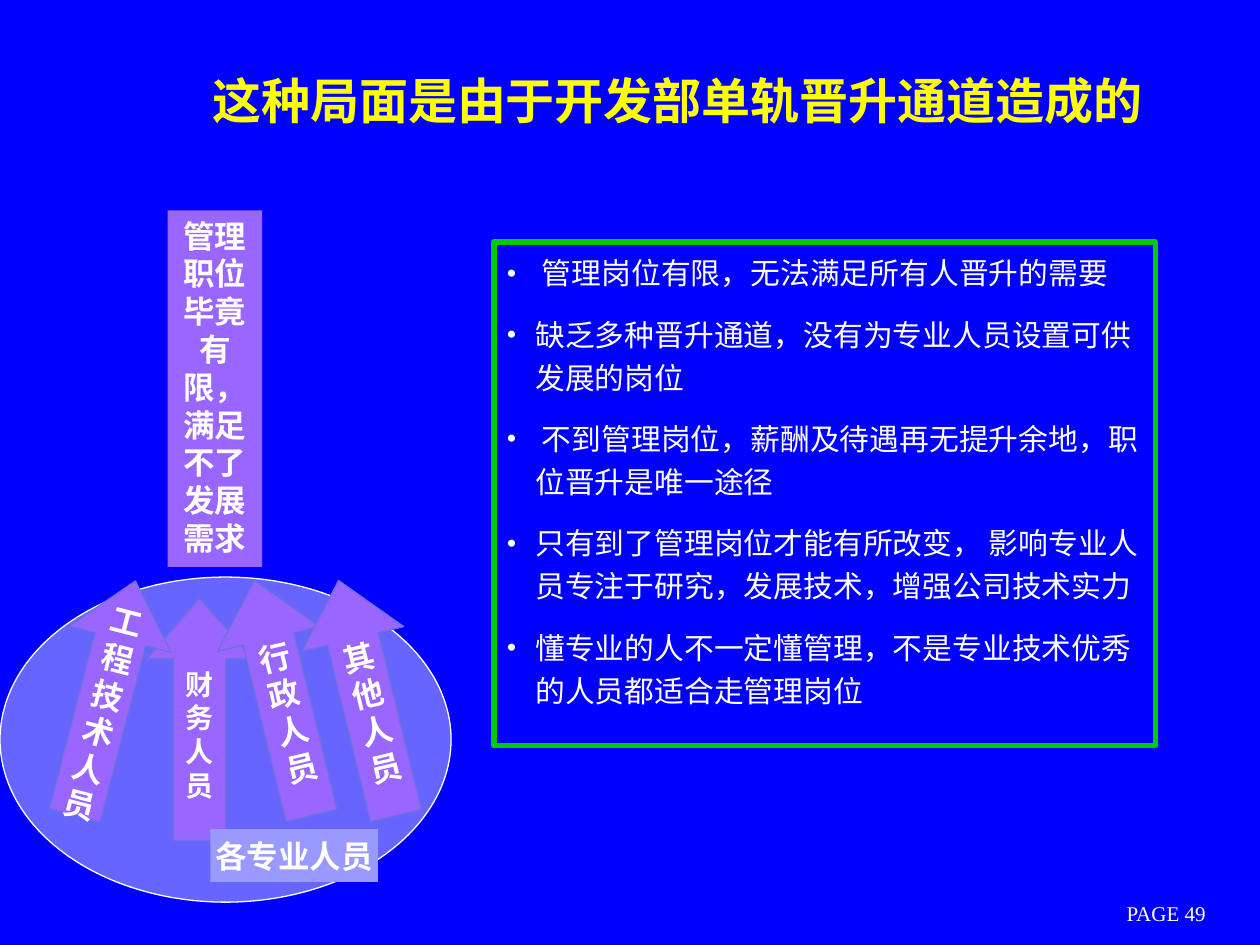
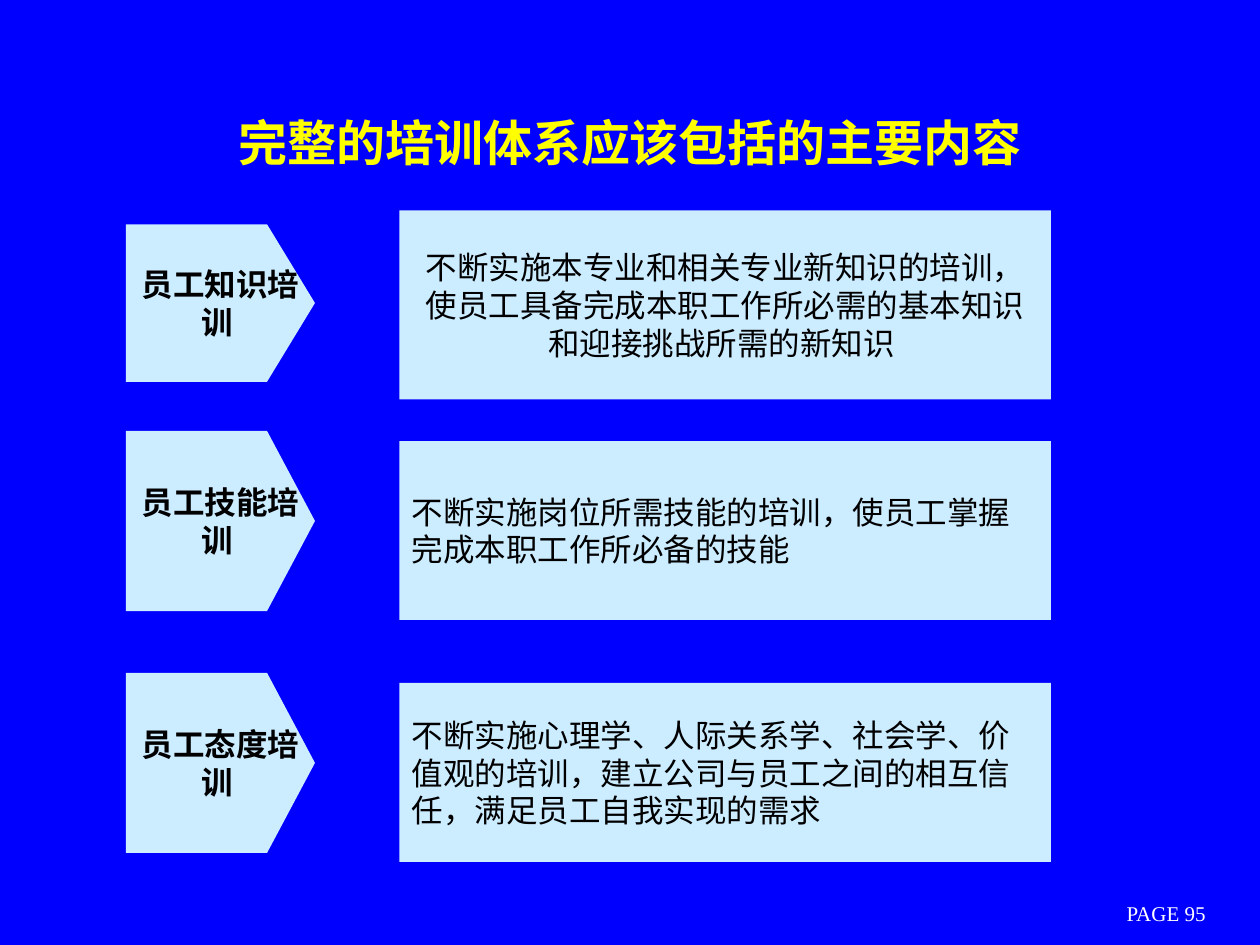
from lxml import etree
from pptx import Presentation
from pptx.dml.color import RGBColor
from pptx.enum import shapes, text
from pptx.oxml import ns
from pptx.util import Inches, Pt

BLUE = RGBColor(0x00, 0x00, 0xFF)
YELLOW = RGBColor(0xFF, 0xFF, 0x00)
WHITE = RGBColor(0xFF, 0xFF, 0xFF)
BLACK = RGBColor(0x00, 0x00, 0x00)
GREEN = RGBColor(0x00, 0xCC, 0x00)
VIOLET = RGBColor(0x99, 0x66, 0xFF)
VIOLET_EDGE = RGBColor(0x71, 0x71, 0xDB)
PERIWINKLE = RGBColor(0x66, 0x66, 0xFF)
LAVENDER = RGBColor(0x99, 0x99, 0xFF)
PALE_BLUE = RGBColor(0xCC, 0xEC, 0xFF)

LATIN = "Times New Roman"
HAN = "Noto Sans CJK SC"
CENTER, LEFT = text.PP_ALIGN.CENTER, text.PP_ALIGN.LEFT
TOP, MIDDLE = text.MSO_ANCHOR.TOP, text.MSO_ANCHOR.MIDDLE
RECT = shapes.MSO_SHAPE.RECTANGLE

PROMOTION = {
    "title": "这种局面是由于开发部单轨晋升通道造成的",
    "title_at": (1.5, 0, 7.75, 1.58),
    "page": 49,
    "ceiling": "管理职位毕竟有限，满足不了发展需求",
    "crowd": "各专业人员",
    "reasons": [
        " 管理岗位有限，无法满足所有人晋升的需要",
        "缺乏多种晋升通道，没有为专业人员设置可供发展的岗位",
        " 不到管理岗位，薪酬及待遇再无提升余地，职位晋升是唯一途径",
        "只有到了管理岗位才能有所改变， 影响专业人员专注于研究，发展技术，增强公司技术实力",
        "懂专业的人不一定懂管理，不是专业技术优秀的人员都适合走管理岗位",
    ],
    "careers": [
        ("财务人员", 1.17, 4.75, 0, 16),
        ("工程技术人员", 0.42, 4.58, 14.5, 18),
        ("行政人员", 1.83, 4.58, 346.3, 18),
        ("其他人员", 2.5, 4.58, 346.3, 18),
    ],
}

TRAINING = {
    "title": "完整的培训体系应该包括的主要内容",
    "title_at": (0.75, 0.5, 8.5, 1.25),
    "page": 95,
    "kinds": [
        ("员工知识培训 ", 1.78, 1.25,
         "不断实施本专业和相关专业新知识的培训，使员工具备完成本职工作所必需的基本知识和迎接挑战所需的新知识 ",
         1.67, 1.5, CENTER),
        ("员工技能培训 ", 3.42, 1.43,
         "不断实施岗位所需技能的培训，使员工掌握完成本职工作所必备的技能",
         3.5, 1.42, LEFT),
        ("员工态度培训 ", 5.34, 1.43,
         "不断实施心理学、人际关系学、社会学、价值观的培训，建立公司与员工之间的相互信任，满足员工自我实现的需求",
         5.42, 1.42, LEFT),
    ],
}


def write(shape, words, size, color, bold=False, align=CENTER, anchor=MIDDLE, wrap=True, latin=LATIN):
    frame = shape.text_frame
    frame.text = words
    frame.word_wrap = wrap
    frame.vertical_anchor = anchor
    for paragraph in frame.paragraphs:
        paragraph.alignment = align
        paragraph._p.get_or_add_pPr().set("hangingPunct", "0")
        for run in paragraph.runs:
            run.font.size = Pt(size)
            run.font.bold = bold
            run.font.color.rgb = color
            run.font.name = latin
            etree.SubElement(run.font._element, ns.qn("a:ea"), typeface=HAN)


def paint(shape, fill, edge=None, width=0.75):
    shape.shadow.inherit = False
    shape.fill.solid()
    shape.fill.fore_color.rgb = fill
    if edge is None:
        shape.line.fill.background()
    else:
        shape.line.color.rgb = edge
        shape.line.width = Pt(width)
    return shape


def add_block(slide, kind, at, fill, edge=None, width=0.75):
    return paint(slide.shapes.add_shape(kind, *map(Inches, at)), fill, edge, width)


def add_slide(prs, content):
    slide = prs.slides.add_slide(prs.slide_layouts[5])
    title = slide.shapes.title
    title.left, title.top, title.width, title.height = map(Inches, content["title_at"])
    write(title, content["title"], 28, YELLOW, bold=True, latin=HAN)
    page = slide.shapes.add_textbox(*map(Inches, (8.42, 7.12, 1.67, 0.25)))
    write(page, f"PAGE {content['page']}", 12, WHITE)
    return slide


def add_bullet(paragraph, indent):
    props = paragraph._p.get_or_add_pPr()
    props.set("marL", str(indent))
    props.set("indent", str(-indent))
    color = etree.SubElement(props, ns.qn("a:buClr"))
    etree.SubElement(color, ns.qn("a:srgbClr"), val=str(WHITE))
    etree.SubElement(props, ns.qn("a:buFont"), typeface=LATIN)
    etree.SubElement(props, ns.qn("a:buChar"), char="•")


def build_promotion(prs):
    slide = add_slide(prs, PROMOTION)
    add_block(slide, shapes.MSO_SHAPE.OVAL, (0, 4.58, 3.58, 2.58), PERIWINKLE, WHITE)

    reasons = add_block(slide, RECT, (3.92, 1.92, 5.25, 4), BLUE, GREEN, 3)
    write(reasons, "\n".join(PROMOTION["reasons"]), 17, WHITE, align=LEFT, anchor=TOP)
    for number, reason in enumerate(reasons.text_frame.paragraphs):
        reason.line_spacing = 1.2
        reason.space_before = Pt(10.6 if number else 0)
        add_bullet(reason, Inches(0.23))

    ceiling = add_block(slide, RECT, (1.33, 1.67, 0.75, 2.83), VIOLET)
    write(ceiling, PROMOTION["ceiling"], 18, WHITE, bold=True, anchor=TOP)

    for name, left, top, angle, size in PROMOTION["careers"]:
        career = add_block(slide, shapes.MSO_SHAPE.UP_ARROW, (left, top, 0.83, 1.92), VIOLET, VIOLET_EDGE)
        career.adjustments[0], career.adjustments[1] = 0.5, 0.575
        career.rotation = angle
        write(career, name, size, WHITE, bold=True)

    crowd = add_block(slide, RECT, (1.67, 6.58, 1.33, 0.42), LAVENDER)
    write(crowd, PROMOTION["crowd"], 18, WHITE, bold=True, wrap=False)


def add_pointer(slide, top, height):
    left, shoulder, tip = 1, 2.12, 2.5
    bottom = top + height
    outline = slide.shapes.build_freeform(Inches(left), Inches(top))
    corners = [(shoulder, top), (tip, top + height / 2), (shoulder, bottom), (left, bottom)]
    outline.add_line_segments([(Inches(x), Inches(y)) for x, y in corners], close=True)
    return paint(outline.convert_to_shape(), PALE_BLUE)


def build_training(prs):
    slide = add_slide(prs, TRAINING)
    for kind, kind_top, kind_height, aim, aim_top, aim_height, align in TRAINING["kinds"]:
        write(add_pointer(slide, kind_top, kind_height), kind, 18, BLACK, bold=True)
        aim_box = add_block(slide, RECT, (3.17, aim_top, 5.17, aim_height), PALE_BLUE)
        write(aim_box, aim, 18, BLACK, align=align)


def main():
    prs = Presentation()
    prs.slide_width, prs.slide_height = Inches(10), Inches(7.5)
    backdrop = prs.slide_master.background.fill
    backdrop.solid()
    backdrop.fore_color.rgb = BLUE
    build_promotion(prs)
    build_training(prs)
    prs.save("out.pptx")


if __name__ == "__main__":
    main()
